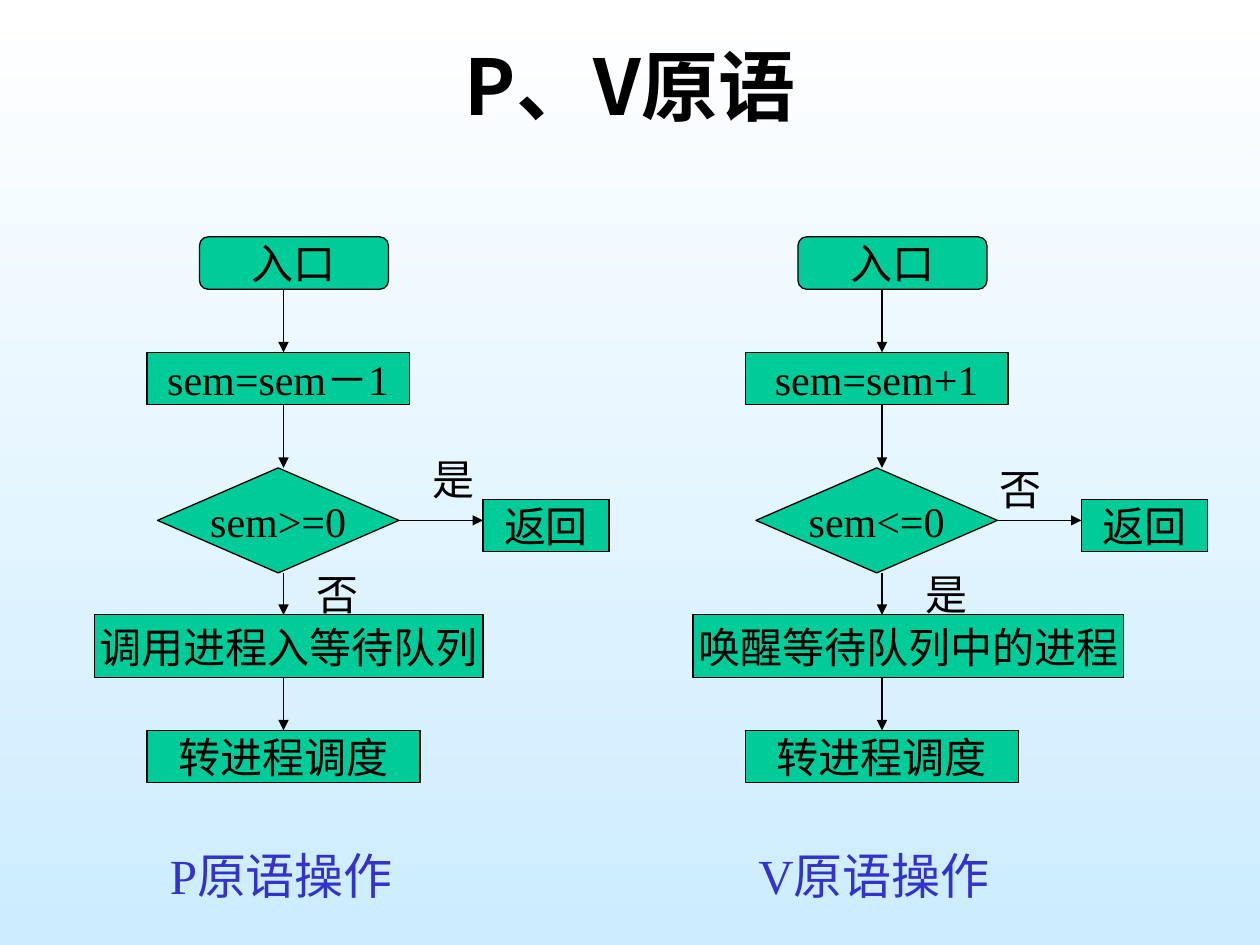
from lxml import etree
from pptx import Presentation
from pptx import util as u
from pptx.dml.color import RGBColor
from pptx.enum import shapes, text
from pptx.oxml import ns

BLACK = RGBColor(0x00, 0x00, 0x00)
WHITE = RGBColor(0xFF, 0xFF, 0xFF)
SKY = RGBColor(0xCC, 0xEC, 0xFF)
GREEN = RGBColor(0x00, 0xCC, 0x99)
BLUE = RGBColor(0x33, 0x33, 0xCC)
SERIF = "Times New Roman"
SANS = "Noto Sans CJK SC"
CELL = u.Inches(1) / 12
TOP = u.Inches(1.88)
RECT = shapes.MSO_SHAPE.RECTANGLE
ROUND = shapes.MSO_SHAPE.ROUNDED_RECTANGLE
DIAMOND = shapes.MSO_SHAPE.DIAMOND


def at(left, col, row):
    """Turn a column and row of a flowchart grid into slide lengths."""
    return round(left + col * CELL), round(TOP + row * CELL)


def write(sp, words, size, color=BLACK, font=SERIF, bold=False):
    """Fill a shape with one formatted paragraph and return the paragraph."""
    tf = sp.text_frame
    tf.word_wrap = True
    tf.text = words
    p = tf.paragraphs[0]
    r = p.runs[0]
    r.font.name, r.font.size, r.font.bold = font, u.Pt(size), bold
    r.font.color.rgb = color
    ea = etree.SubElement(r.font._element, ns.qn("a:ea"))
    ea.set("typeface", SANS)
    return p


def add_box(tree, left, kind, words, col, row, cols, rows):
    """Add a green flowchart step on the grid."""
    sp = tree.add_shape(kind, *at(left, col, row), round(cols * CELL), round(rows * CELL))
    sp.shadow.inherit = False
    sp.fill.solid()
    sp.fill.fore_color.rgb = GREEN
    sp.line.color.rgb = BLACK
    sp.line.width = u.Pt(0.75)
    write(sp, words, 24).alignment = text.PP_ALIGN.CENTER
    sp.text_frame.word_wrap = False
    sp.text_frame.vertical_anchor = text.MSO_ANCHOR.MIDDLE


def add_arrow(tree, left, start, end):
    """Add a thin arrow between two grid points."""
    line = tree.add_connector(shapes.MSO_CONNECTOR.STRAIGHT, *at(left, *start), *at(left, *end))
    line.line.color.rgb = BLACK
    line.line.width = u.Pt(0.75)
    etree.SubElement(line.line._get_or_add_ln(), ns.qn("a:tailEnd")).set("type", "triangle")
    etree.SubElement(line._element.spPr, ns.qn("a:effectLst"))


def add_label(s, left, words, col, row, cols):
    """Add the answer beside a branch of the decision."""
    write(s.shapes.add_textbox(*at(left, col, row), round(cols * CELL), 6 * u.Inches(1) // 12), words, 24)


def add_flowchart(tree, left, step, test, action, action_cols):
    """Add the steps and arrows of one primitive."""
    add_box(tree, left, ROUND, "入口", 10, 0, 18, 5)
    add_box(tree, left, RECT, step, 5, 11, 25, 5)
    add_box(tree, left, DIAMOND, test, 6, 22, 23, 10)
    add_box(tree, left, RECT, action, 0, 36, action_cols, 6)
    add_box(tree, left, RECT, "转进程调度", 5, 47, 26, 5)
    add_box(tree, left, RECT, "返回", 37, 25, 12, 5)
    for start, end in ((5, 11), (16, 22), (32, 36), (42, 47)):
        add_arrow(tree, left, (18, start), (18, end))
    add_arrow(tree, left, (29, 27), (37, 27))


def add_caption(s, words, left, width, height):
    """Add the blue name under a flowchart."""
    sp = s.shapes.add_textbox(u.Inches(left), u.Inches(6.71), u.Inches(width), u.Inches(height))
    write(sp, words, 28, BLUE).line_spacing = 0.9


def add_title(s, words):
    """Add the bold centred title."""
    sp = s.shapes.add_textbox(u.Inches(0.75), u.Inches(0.05), u.Inches(8.5), u.Inches(1.25))
    write(sp, words, 44, font=SANS, bold=True).alignment = text.PP_ALIGN.CENTER
    sp.text_frame.vertical_anchor = text.MSO_ANCHOR.MIDDLE


def paint_background(s):
    """Shade the slide from white at the top to sky blue."""
    fill = s.background.fill
    fill.gradient()
    fill.gradient_angle = 270
    for stop, color, position in zip(fill.gradient_stops, (WHITE, SKY), (0, 1)):
        stop.color.rgb = color
        stop.position = position


def main():
    """Build the slide on the P and V primitives."""
    prs = Presentation()
    prs.slide_width, prs.slide_height = u.Inches(10), u.Inches(7.5)
    s = prs.slides.add_slide(prs.slide_layouts[6])
    paint_background(s)
    add_title(s, "P、V原语")
    add_caption(s, "P原语操作", 1.25, 4.17, 0.75)
    add_caption(s, "V原语操作", 5.92, 4, 0.58)
    p_left, v_left = u.Inches(0.75), u.Inches(5.5)
    group = s.shapes.add_group_shape()
    add_flowchart(group.shapes, p_left, "sem=sem－1", "sem>=0", "调用进程入等待队列", 37)
    add_flowchart(s.shapes, v_left, "sem=sem+1", "sem<=0", "唤醒等待队列中的进程", 41)
    add_label(s, p_left, "是", 31, 20, 6)
    add_label(s, p_left, "否", 20, 31, 7)
    add_label(s, v_left, "是", 21, 31, 7)
    add_label(s, v_left, "否", 28, 21, 6)
    prs.save("out.pptx")


if __name__ == "__main__":
    main()
